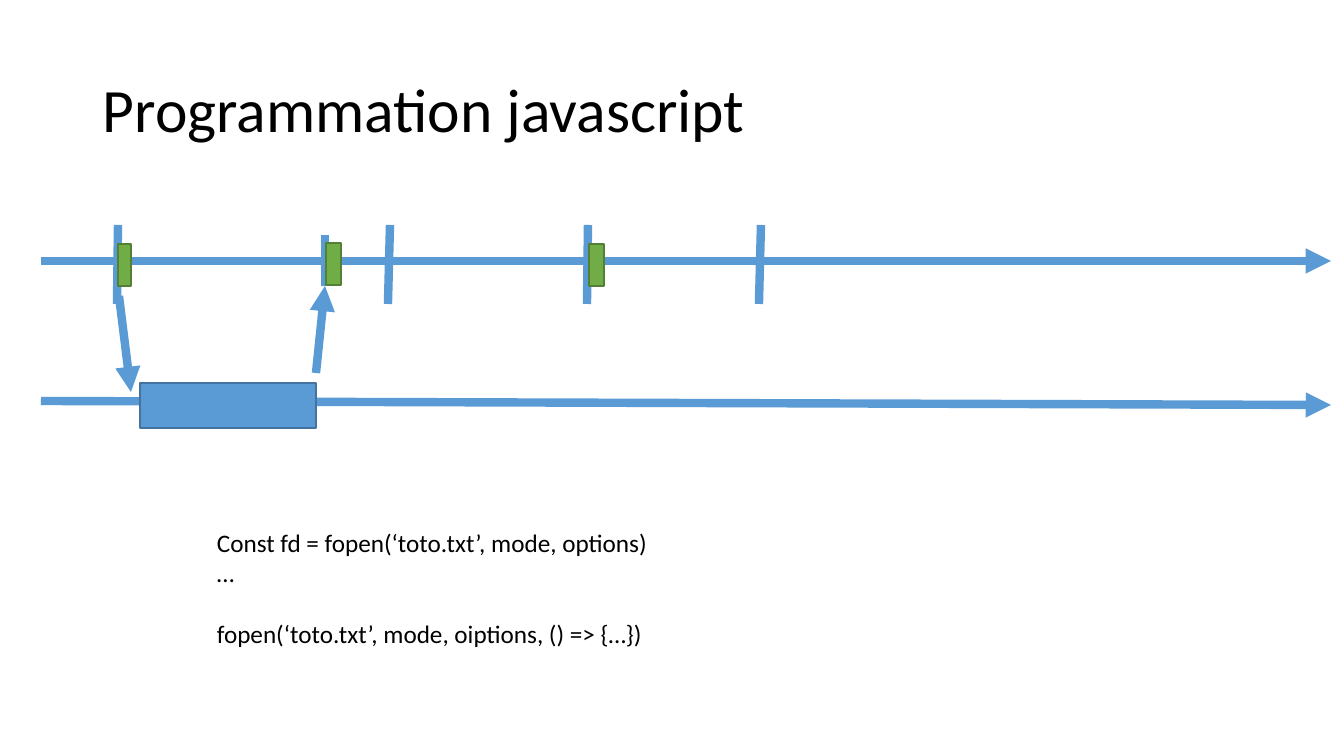
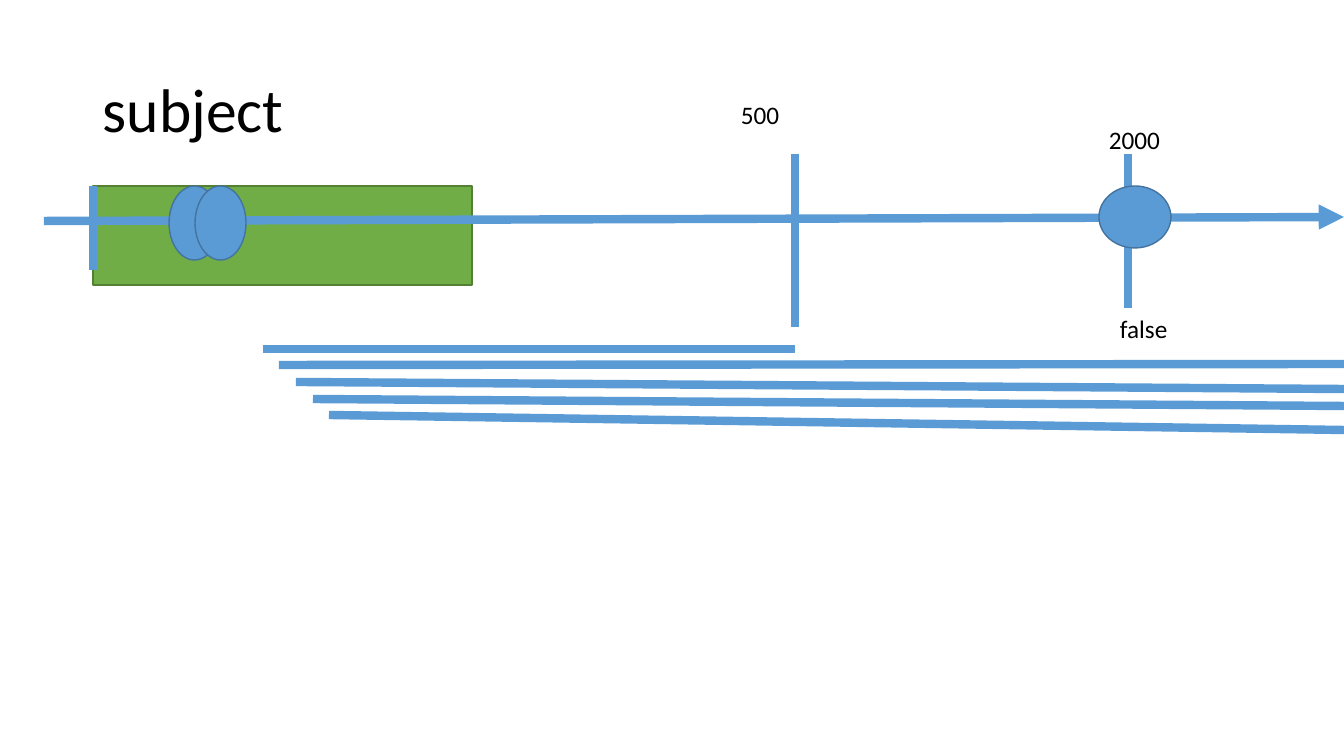
from pptx import Presentation
from pptx.dml.color import RGBColor
from pptx.enum.shapes import MSO_CONNECTOR, MSO_SHAPE
from pptx.enum.text import MSO_ANCHOR
from pptx.oxml.ns import qn
from pptx.util import Emu, Pt
from lxml import etree

RECT = MSO_SHAPE.RECTANGLE
OVAL = MSO_SHAPE.OVAL
STRAIGHT = MSO_CONNECTOR.STRAIGHT
TOP = MSO_ANCHOR.TOP
MIDDLE = MSO_ANCHOR.MIDDLE
SLIDE_W, SLIDE_H = 1344, 756
EMU_PER_PX = 12192000 / SLIDE_W


def px(length):
    return Emu(round(length * EMU_PER_PX))


def rgb(value):
    return RGBColor.from_string(value)


class Deck:
    FONT = "Calibri"
    BLACK = "000000"
    BLUE, BLUE_EDGE = "5B9BD5", "43739E"
    GREEN, GREEN_EDGE = "70AD47", "538035"
    LINE_WIDTH = 6

    def __init__(self):
        self.presentation = Presentation()
        self.presentation.slide_width = px(SLIDE_W)
        self.presentation.slide_height = px(SLIDE_H)
        self.slide = None

    def new_slide(self):
        blank = self.presentation.slide_layouts[6]
        self.slide = self.presentation.slides.add_slide(blank)

    def text(self, content, x, y, w, h, size=18, anchor=TOP, wrap=False,
             spacing=1.0, gaps=()):
        frame = self.slide.shapes.add_textbox(px(x), px(y), px(w), px(h)).text_frame
        frame.word_wrap = wrap
        frame.vertical_anchor = anchor
        frame.text = content
        for paragraph in frame.paragraphs:
            paragraph.line_spacing = spacing
            paragraph.font.name = self.FONT
            paragraph.font.size = Pt(size)
            paragraph.font.color.rgb = rgb(self.BLACK)
        for index, gap in gaps:
            frame.paragraphs[index].space_before = Pt(gap)

    def title(self, content, width):
        self.text(content, 93, 40, width, 146, size=44, anchor=MIDDLE,
                  wrap=True, spacing=0.9)

    def shape(self, kind, x, y, w, h, fill, edge):
        shape = self.slide.shapes.add_shape(kind, px(x), px(y), px(w), px(h))
        shape.shadow.inherit = False
        shape.fill.solid()
        shape.fill.fore_color.rgb = rgb(fill)
        shape.line.color.rgb = rgb(edge)
        shape.line.width = Pt(1)

    def blue(self, kind, x, y, w, h):
        self.shape(kind, x, y, w, h, self.BLUE, self.BLUE_EDGE)

    def green(self, x, y, w, h):
        self.shape(RECT, x, y, w, h, self.GREEN, self.GREEN_EDGE)

    def line(self, x1, y1, x2, y2, arrow=False):
        connector = self.slide.shapes.add_connector(
            STRAIGHT, px(x1), px(y1), px(x2), px(y2))
        connector.line.color.rgb = rgb(self.BLUE)
        connector.line.width = Pt(self.LINE_WIDTH)
        properties = connector._element.spPr
        if arrow:
            outline = properties.find(qn("a:ln"))
            etree.SubElement(outline, qn("a:tailEnd"), type="triangle")
        etree.SubElement(properties, qn("a:effectLst"))

    def arrow(self, x1, y1, x2, y2):
        self.line(x1, y1, x2, y2, arrow=True)


def build_event_loop(deck):
    deck.new_slide()
    deck.title("Programmation javascript", 1159)
    deck.arrow(41, 261, 1331, 261)
    for top_x, bottom_x in ((118, 117), (390, 388), (588, 587), (761, 759)):
        deck.line(top_x, 225, bottom_x, 304)
    deck.green(118, 244, 13, 42)
    deck.green(589, 244, 15, 42)
    deck.text("Const fd = fopen(‘toto.txt’, mode, options)\n…\n"
              "fopen(‘toto.txt’, mode, oiptions, () => {…})",
              207, 522, 456, 132, gaps=((2, 22),))
    deck.arrow(41, 401, 1331, 405)
    deck.arrow(119, 296, 131, 392)
    deck.blue(RECT, 140, 383, 176, 45)
    deck.arrow(316, 373, 325, 286)
    deck.line(325, 235, 325, 286)
    deck.green(326, 243, 15, 42)


def build_subject(deck):
    deck.new_slide()
    deck.green(93, 186, 379, 99)
    deck.title("subject", 530)
    deck.arrow(44, 221, 1344, 217)
    deck.line(93, 186, 93, 270)
    for event_x in (169, 195):
        deck.blue(OVAL, event_x, 186, 51, 74)
    subscription_ends = ((795, 349), (1344, 364), (1344, 389), (1344, 406), (1344, 430))
    for index, (end_x, end_y) in enumerate(subscription_ends):
        step = 50 * index // 3
        deck.line(263 + step, 349 + step, end_x, end_y)
    for tick_x, bottom in ((795, 327), (1128, 308)):
        deck.line(tick_x, 154, tick_x, bottom)
    for label, x, y, width in (("500", 731, 94, 59), ("2000", 1099, 119, 72),
                               ("false", 1110, 308, 69)):
        deck.text(label, x, y, width, 40)
    deck.blue(OVAL, 1099, 186, 72, 62)


def main():
    deck = Deck()
    build_event_loop(deck)
    build_subject(deck)
    deck.presentation.save("out.pptx")


if __name__ == "__main__":
    main()
